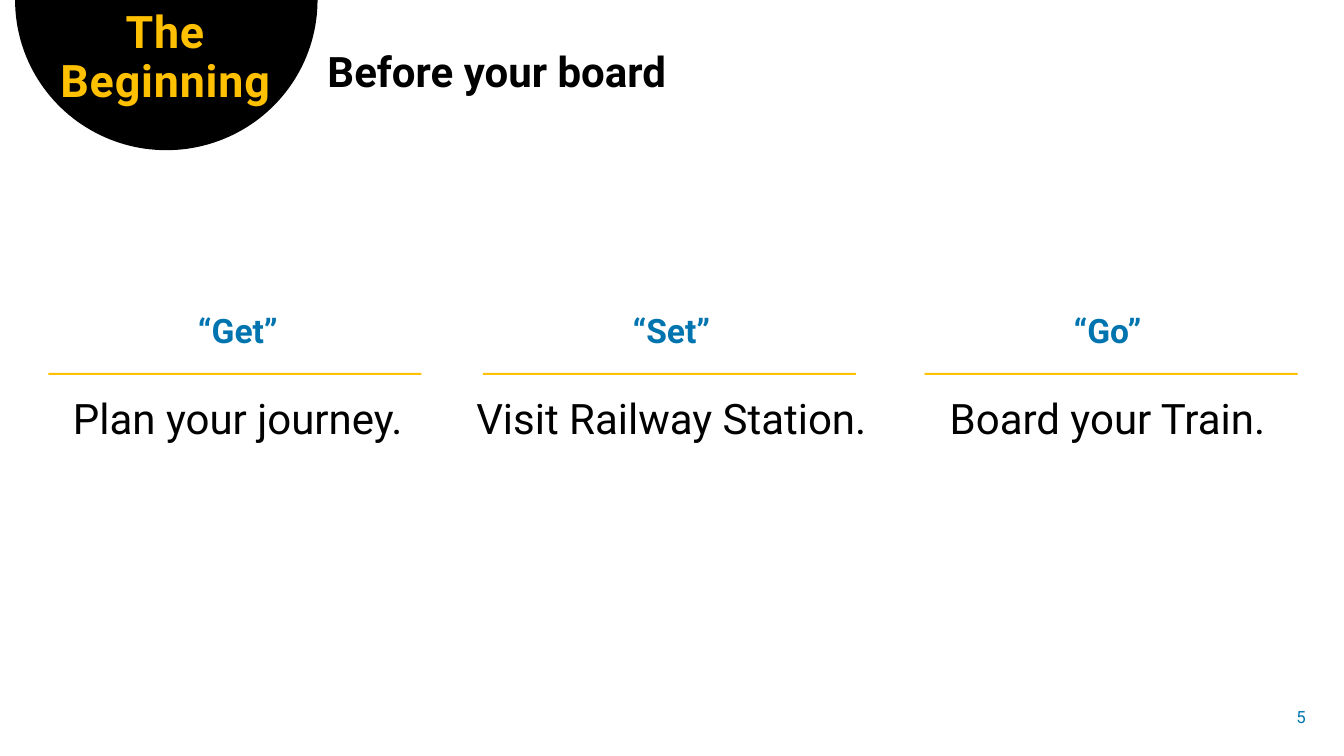
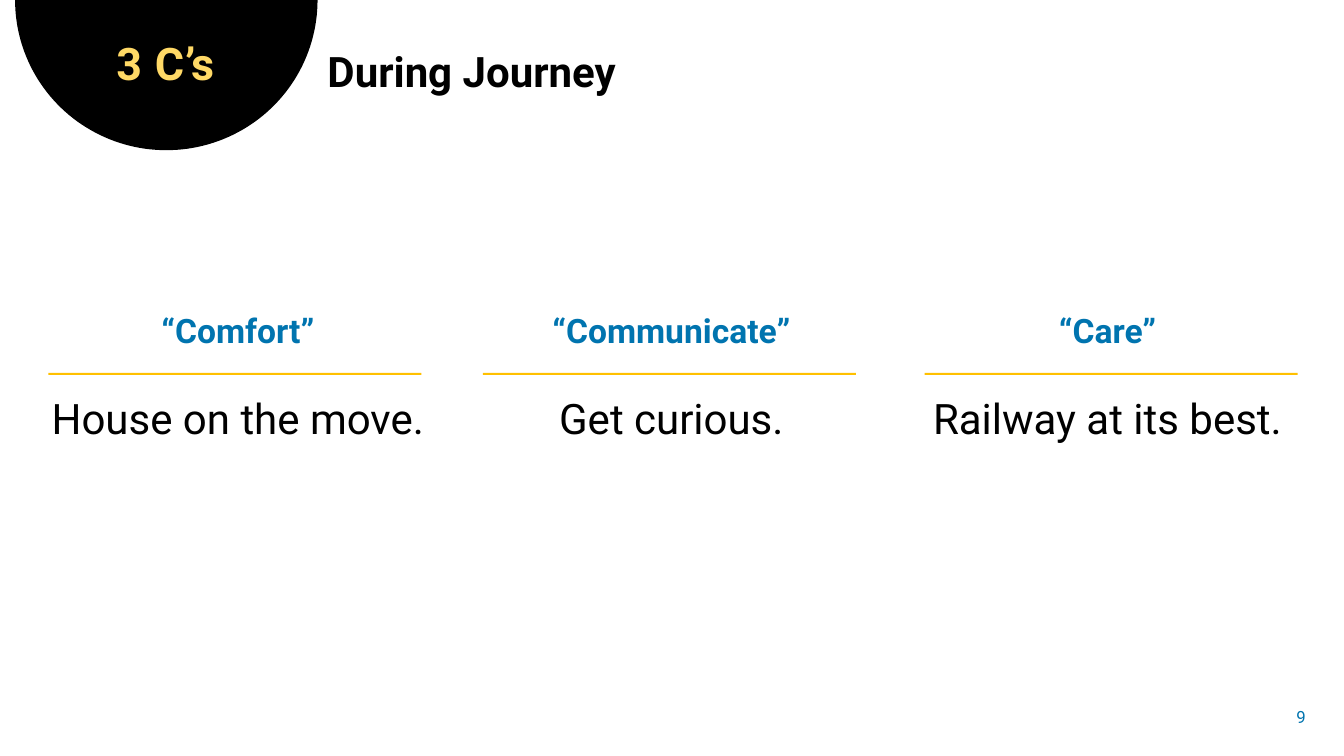
import math
import pptx
import pptx.dml.color
import pptx.enum.shapes
import pptx.enum.text
import pptx.util

Inches = pptx.util.Inches
Pt = pptx.util.Pt
Align = pptx.enum.text.PP_ALIGN
Anchor = pptx.enum.text.MSO_ANCHOR

FONT = "Roboto"
BLACK = "000000"
BLUE = "0074AF"
GOLD = "FFC000"
PALE = "FFD966"

COLUMNS = [(0.33, 4.06, 0.48), (4.56, 4.2, 4.79), (8.92, 4.13, 9.17)]

SLIDES = [
    dict(
        badge="The Beginning", top=0.05, high=1.07, tint=GOLD,
        head="Before your board", page="5",
        steps=[
            ("“Get”", "Plan your journey."),
            ("“Set”", "Visit Railway Station."),
            ("“Go”", "Board your Train."),
        ],
    ),
    dict(
        badge="3 C’s", top=0.37, high=0.59, tint=PALE,
        head="During Journey", page="9",
        steps=[
            ("“Comfort”", "House on the move."),
            ("“Communicate”", "Get curious."),
            ("“Care”", "Railway at its best."),
        ],
    ),
]


def color(code):
    return pptx.dml.color.RGBColor.from_string(code)


def paint(shape, code):
    shape.fill.solid()
    shape.fill.fore_color.rgb = color(code)
    shape.line.fill.background()
    shape.shadow.inherit = False


def add_box(slide, left, top, width, height, wrap=True, anchor=Anchor.TOP):
    box = slide.shapes.add_textbox(
        Inches(left), Inches(top), Inches(width), Inches(height))
    frame = box.text_frame
    frame.word_wrap = wrap
    frame.vertical_anchor = anchor
    return frame


def add_text(frame, text, size=30, tint=BLACK, bold=False, align=Align.LEFT,
             line=0.9, before=0, after=0, track=0):
    para = frame.paragraphs[0]
    if para.runs:
        para = frame.add_paragraph()
    para.alignment = align
    para.line_spacing = line
    para.space_before = Pt(before)
    para.space_after = Pt(after)
    run = para.add_run()
    run.text = text
    run.font.name = FONT
    run.font.size = Pt(size)
    run.font.bold = bold
    run.font.color.rgb = color(tint)
    if track:
        run._r.get_or_add_rPr().set("spc", str(round(track * 100)))


def add_dome(slide, mid=1.65, wide=1.5, deep=1.49, count=90):
    angles = [math.pi * i / count for i in range(count + 1)]
    points = [(Inches(mid + wide * math.cos(a)), Inches(deep * math.sin(a)))
              for a in angles]
    path = slide.shapes.build_freeform(*points[0])
    path.add_line_segments(points[1:], close=True)
    paint(path.convert_to_shape(), BLACK)


def add_rule(slide, left):
    rule = slide.shapes.add_shape(
        pptx.enum.shapes.MSO_SHAPE.RECTANGLE,
        Inches(left), Inches(3.7), Inches(3.7), Inches(0.02))
    paint(rule, GOLD)


def add_step(slide, column, step):
    left, width, rule = column
    label, detail = step
    frame = add_box(slide, left, 3.07, width, 1.4)
    add_text(frame, label, size=24, tint=BLUE, bold=True,
             align=Align.CENTER, before=10, after=24)
    add_text(frame, detail, align=Align.CENTER, before=10, after=12)
    add_rule(slide, rule)


def add_page(deck, badge, top, high, tint, head, page, steps):
    slide = deck.slides.add_slide(deck.slide_layouts[6])
    add_dome(slide)
    add_text(add_box(slide, 0.34, top, 2.6, high), badge, size=32, tint=tint,
             bold=True, align=Align.CENTER, track=0.6)
    add_text(add_box(slide, 3.15, 0.46, 9.93, 0.56), head, bold=True,
             before=10)
    for column, step in zip(COLUMNS, steps):
        add_step(slide, column, step)
    foot = add_box(slide, 12.5, 6.91, 0.55, 0.4, wrap=False,
                   anchor=Anchor.MIDDLE)
    add_text(foot, page, size=12, tint=BLUE, align=Align.RIGHT, line=1.0)


def main():
    deck = pptx.Presentation()
    deck.slide_width = Inches(13.33)
    deck.slide_height = Inches(7.5)
    for item in SLIDES:
        add_page(deck, **item)
    deck.save("out.pptx")


if __name__ == "__main__":
    main()
